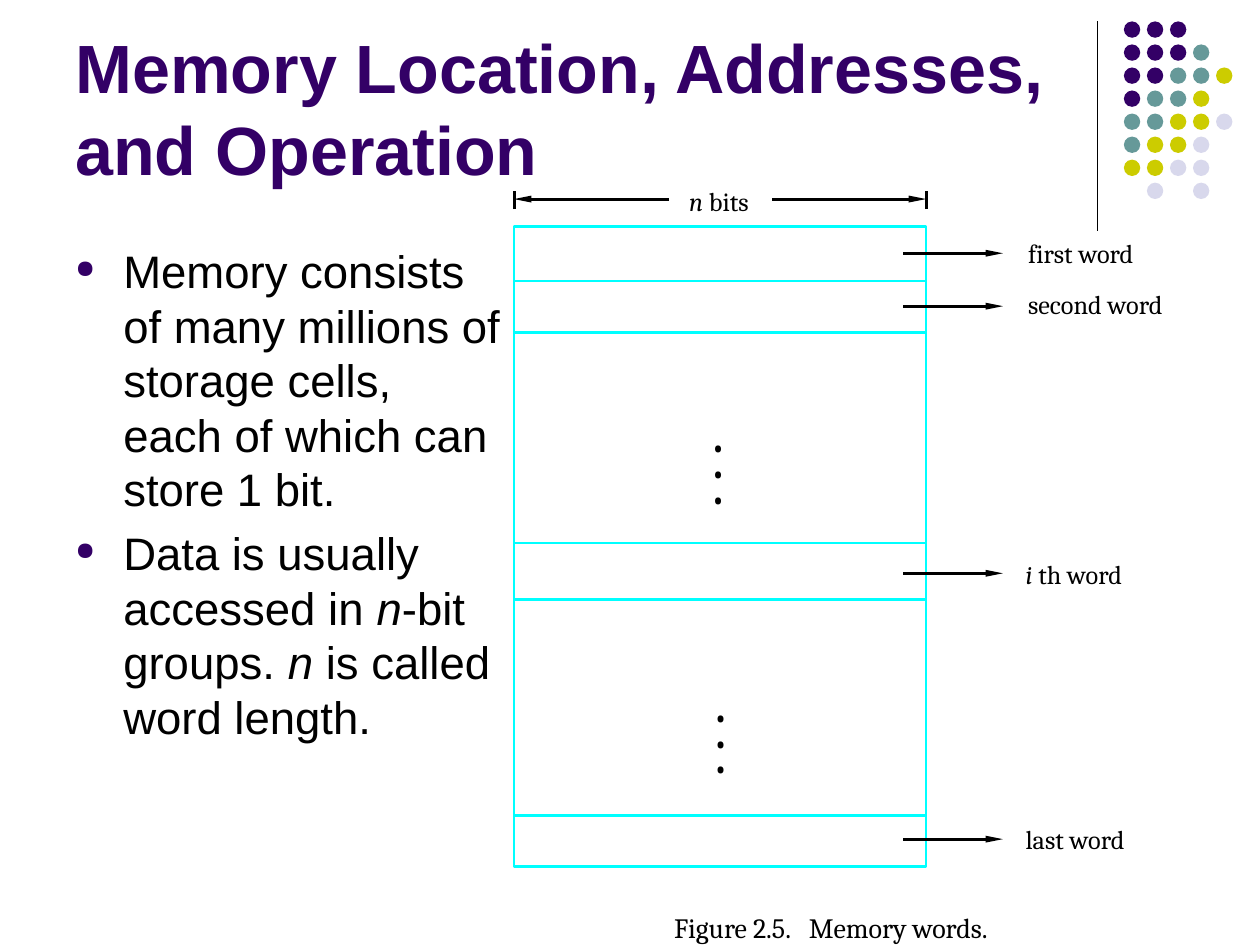
from pptx import Presentation
from pptx.dml.color import RGBColor
from pptx.enum.shapes import MSO_CONNECTOR, MSO_SHAPE
from pptx.enum.text import MSO_ANCHOR
from pptx.oxml.ns import qn
from pptx.util import Inches, Pt
from lxml.etree import SubElement

COLORS = {
    "purple": "330066",
    "teal": "669999",
    "olive": "CCCC00",
    "lavender": "D8D8EC",
    "cyan": "00FFFF",
    "black": "000000",
}
DOT_COLORS = {"P": "purple", "T": "teal", "O": "olive", "L": "lavender"}
DOT_ROWS = ["PPP", "PPPT", "PPTTO", "PTTO", "TTOOL", "TOOL", "OOLL", " L L"]

LEFT, RIGHT, TOP, BOTTOM = 4.08, 7.35, 1.8, 6.88
DIVIDERS = [2.23, 2.64, 4.31, 4.76, 6.47]
WORDS = [
    (2.01, 8.16, 1.88, [("first word", False)]),
    (2.43, 8.16, 2.29, [("second word", False)]),
    (4.55, 8.14, 4.43, [("i", True), (" th word", False)]),
    (6.66, 8.14, 6.53, [("last word", False)]),
]
BULLETS = [
    [("Memory consists of many millions of storage cells, "
      "each of which can store 1 bit.", False)],
    [("Data is usually accessed in ", False), ("n", True),
     ("-bit groups. ", False), ("n", True),
     (" is called word length.", False)],
]


def color(key):
    return RGBColor.from_string(COLORS[key])


def add_line(slide, start, end, key="black", width=1.63, arrow=False):
    line = slide.shapes.add_connector(
        MSO_CONNECTOR.STRAIGHT, *(Inches(v) for v in (*start, *end)))
    line.line.color.rgb = color(key)
    line.line.width = Pt(width)
    if arrow:
        SubElement(line.line._get_or_add_ln(), qn("a:tailEnd"),
                   type="triangle", w="sm", len="lg")
    SubElement(line._element.spPr, qn("a:effectLst"))


def add_box(slide, left, top, width, height, inset=True, wrap=True):
    box = slide.shapes.add_textbox(*map(Inches, (left, top, width, height)))
    frame = box.text_frame
    frame.word_wrap = wrap
    if not inset:
        frame.margin_left = frame.margin_right = 0
        frame.margin_top = frame.margin_bottom = 0
    return frame


def write(paragraph, runs, size, font="Cambria", key="black"):
    for text, italic in runs:
        run = paragraph.add_run()
        run.text = text
        if italic:
            run.font.italic = True
    paragraph.font.name = font
    paragraph.font.size = Pt(size)
    paragraph.font.color.rgb = color(key)


def add_label(slide, left, top, width, runs):
    frame = add_box(slide, left, top, width, 0.25, inset=False, wrap=False)
    write(frame.paragraphs[0], runs, 15)


def add_dot_pattern(slide):
    pitch = 1.28 / 7
    for row, codes in enumerate(DOT_ROWS):
        for column, code in enumerate(codes):
            if code == " ":
                continue
            dot = slide.shapes.add_shape(
                MSO_SHAPE.OVAL, Inches(8.92 + column * pitch),
                Inches(0.17 + row * pitch), Inches(0.13), Inches(0.13))
            dot.shadow.inherit = False
            dot.fill.solid()
            dot.fill.fore_color.rgb = color(DOT_COLORS[code])
            dot.line.fill.background()


def add_title(slide):
    frame = add_box(slide, 0.5, 0.13, 8.25, 1.42)
    frame.vertical_anchor = MSO_ANCHOR.BOTTOM
    title = frame.paragraphs[0]
    write(title, [("Memory Location, Addresses, and Operation", False)],
          39, "Arial", "purple")
    title.font.bold = True


def add_bullets(slide):
    frame = add_box(slide, 0.5, 1.88, 3.58, 4.82)
    for index, runs in enumerate(BULLETS):
        paragraph = frame.add_paragraph() if index else frame.paragraphs[0]
        if index:
            paragraph.space_before = Pt(5.2)
        properties = paragraph._p.get_or_add_pPr()
        properties.set("marL", str(Inches(0.38)))
        properties.set("indent", str(-Inches(0.38)))
        bullet_color = SubElement(properties, qn("a:buClr"))
        SubElement(bullet_color, qn("a:srgbClr"), val=COLORS["purple"])
        SubElement(properties, qn("a:buSzPct"), val="55000")
        SubElement(properties, qn("a:buChar"), char="●")
        write(paragraph, runs, 26, "Arial")


def add_ellipsis(slide, left, top):
    frame = add_box(slide, left, top, 0.29, 1.1)
    frame.margin_top = Inches(0.43)
    for index in range(3):
        paragraph = frame.add_paragraph() if index else frame.paragraphs[0]
        paragraph.line_spacing = Pt(14.7)
        write(paragraph, [("•", False)], 20)


def add_memory(slide):
    for y in DIVIDERS:
        add_line(slide, (LEFT, y), (RIGHT, y), "cyan")
    memory = slide.shapes.add_shape(
        MSO_SHAPE.RECTANGLE, Inches(LEFT), Inches(TOP),
        Inches(RIGHT - LEFT), Inches(BOTTOM - TOP))
    memory.shadow.inherit = False
    memory.fill.background()
    memory.line.color.rgb = color("cyan")
    memory.line.width = Pt(1.63)
    for arrow_y, left, top, runs in WORDS:
        add_line(slide, (7.17, arrow_y), (7.96, arrow_y), arrow=True)
        add_label(slide, left, top, 1.18, runs)
    add_ellipsis(slide, 5.54, 3.07)
    add_ellipsis(slide, 5.56, 5.21)


def add_width_marker(slide):
    for inner, edge in ((5.31, LEFT), (6.13, RIGHT)):
        add_line(slide, (inner, 1.58), (edge, 1.58), arrow=True)
        add_line(slide, (edge, 1.66), (edge, 1.52))
    add_label(slide, 5.47, 1.47, 0.6, [("n", True), (" bits", False)])


def add_caption(slide):
    frame = add_box(slide, 5.35, 7.23, 2.77, 0.27, inset=False)
    caption = frame.paragraphs[0]
    tabs = SubElement(caption._p.get_or_add_pPr(), qn("a:tabLst"))
    SubElement(tabs, qn("a:tab"), pos=str(Inches(1.07)), algn="l")
    write(caption, [("Figure 2.5.\tMemory words.", False)], 16)


def main():
    presentation = Presentation()
    presentation.slide_width = Inches(10)
    presentation.slide_height = Inches(7.5)
    slide = presentation.slides.add_slide(presentation.slide_layouts[6])
    add_line(slide, (8.71, 0.17), (8.71, 1.83), width=0.75)
    add_dot_pattern(slide)
    add_title(slide)
    add_bullets(slide)
    add_memory(slide)
    add_width_marker(slide)
    add_caption(slide)
    presentation.save("out.pptx")


if __name__ == "__main__":
    main()
